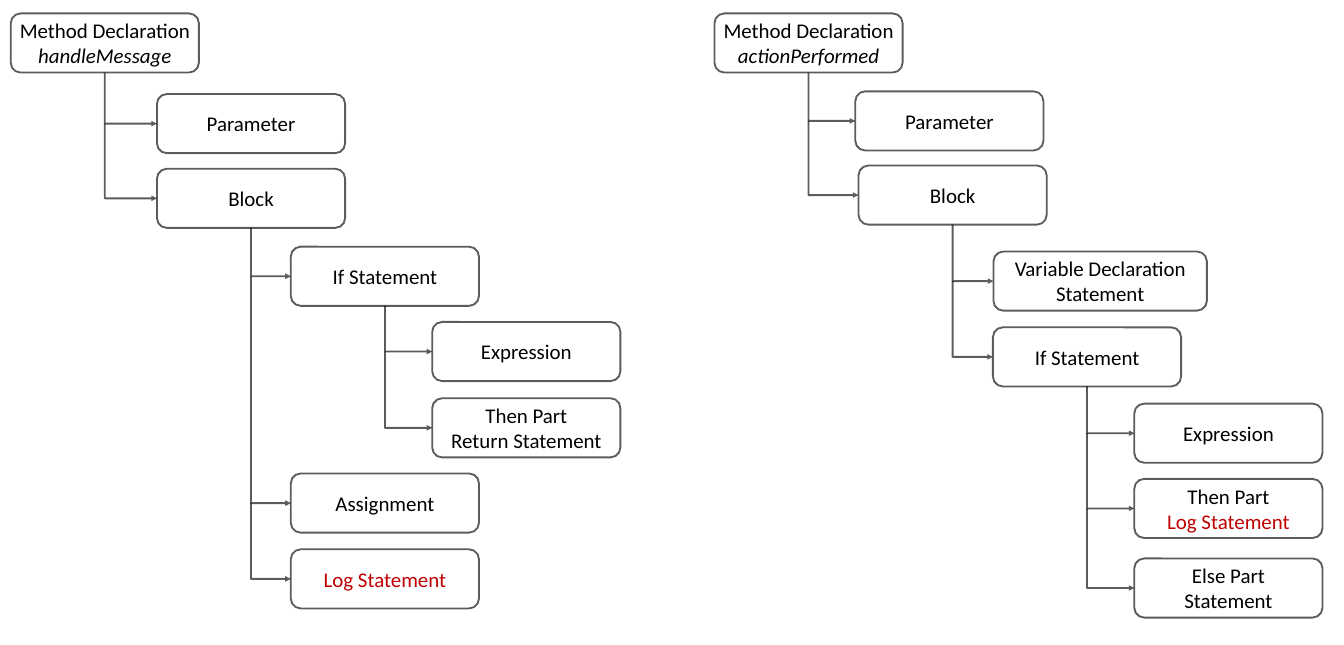
from dataclasses import dataclass

from lxml import etree
from pptx import Presentation
from pptx.dml.color import RGBColor
from pptx.enum.shapes import MSO_CONNECTOR, MSO_SHAPE
from pptx.enum.text import MSO_ANCHOR, PP_ALIGN
from pptx.oxml.ns import qn
from pptx.util import Inches, Pt

ROUNDED = MSO_SHAPE.ROUNDED_RECTANGLE
ELBOW = MSO_CONNECTOR.ELBOW
MIDDLE = MSO_ANCHOR.MIDDLE
CENTER = PP_ALIGN.CENTER


@dataclass(frozen=True)
class Theme:
    """Colours, type and box sizes of the syntax trees."""
    font: str = "Calibri"
    text_size: float = 28
    text: RGBColor = RGBColor(0, 0, 0)
    log: RGBColor = RGBColor(0xC0, 0, 0)
    line: RGBColor = RGBColor(0, 0, 0)
    line_opacity: int = 63
    line_width: float = 2.5
    box_width: float = 3.5
    box_height: float = 1.1


THEME = Theme()


@dataclass(frozen=True)
class Label:
    """One line of text in a node."""
    text: str
    italic: bool = False
    color: RGBColor = THEME.text


@dataclass(frozen=True)
class Node:
    """A syntax tree node with its place and its children."""
    left: float
    top: float
    labels: tuple
    children: tuple = ()
    width: float = THEME.box_width


PARAMETER = (Label("Parameter"),)
BLOCK = (Label("Block"),)
IF_STATEMENT = (Label("If Statement"),)
EXPRESSION = (Label("Expression"),)
LOG_STATEMENT = Label("Log Statement", color=THEME.log)

HANDLE_MESSAGE = Node(
    0.2, 0.25, (Label("Method Declaration"), Label("handleMessage", italic=True)), (
        Node(2.92, 1.75, PARAMETER),
        Node(2.92, 3.14, BLOCK, (
            Node(5.41, 4.59, IF_STATEMENT, (
                Node(8.04, 5.99, EXPRESSION),
                Node(8.04, 7.41, (Label("Then Part"), Label("Return Statement"))),
            )),
            Node(5.41, 8.81, (Label("Assignment"),)),
            Node(5.41, 10.22, (LOG_STATEMENT,)),
        )),
    ))

ACTION_PERFORMED = Node(
    13.29, 0.25, (Label("Method Declaration"), Label("actionPerformed", italic=True)), (
        Node(15.91, 1.7, PARAMETER),
        Node(15.97, 3.08, BLOCK, (
            Node(18.48, 4.68, (Label("Variable Declaration"), Label("Statement")), width=3.97),
            Node(18.47, 6.09, IF_STATEMENT, (
                Node(21.1, 7.51, EXPRESSION),
                Node(21.1, 8.91, (Label("Then Part"), LOG_STATEMENT)),
                Node(21.1, 10.39, (Label("Else Part"), Label("Statement"))),
            )),
        )),
    ))


def style_line(shape):
    """Give a box or connector the translucent outline and return its XML."""
    shape.line.color.rgb = THEME.line
    shape.line.width = Pt(THEME.line_width)
    outline = shape.element.spPr.find(qn("a:ln"))
    color = outline.find(".//" + qn("a:srgbClr"))
    etree.SubElement(color, qn("a:alpha"), val=str(THEME.line_opacity * 1000))
    return outline


def add_box(page, node):
    """Draw a node as a rounded box with centred text."""
    box = page.shapes.add_shape(ROUNDED, Inches(node.left), Inches(node.top),
                                Inches(node.width), Inches(THEME.box_height))
    box.shadow.inherit = False
    box.fill.background()
    style_line(box)
    frame = box.text_frame
    frame.word_wrap = False
    frame.vertical_anchor = MIDDLE
    frame.text = "\n".join(label.text for label in node.labels)
    for para, label in zip(frame.paragraphs, node.labels):
        para.alignment = CENTER
        para.font.size = Pt(THEME.text_size)
        for span in para.runs:
            span.font.name = THEME.font
            span.font.size = Pt(THEME.text_size)
            span.font.italic = label.italic
            span.font.color.rgb = label.color


def add_branch(page, start_x, start_y, end_x, end_y):
    """Draw an arrow that runs down and then right, as a turned elbow."""
    center_x, center_y = (start_x + end_x) / 2, (start_y + end_y) / 2
    half_run, half_drop = (end_x - start_x) / 2, (end_y - start_y) / 2
    branch = page.shapes.add_connector(
        ELBOW, Inches(center_x + half_drop), Inches(center_y - half_run),
        Inches(center_x - half_drop), Inches(center_y + half_run))
    properties = branch.element.spPr
    properties.find(qn("a:xfrm")).set("rot", str(270 * 60000))
    properties.find(qn("a:prstGeom")).set("prst", "bentConnector2")
    outline = style_line(branch)
    etree.SubElement(outline, qn("a:tailEnd"), type="triangle")
    etree.SubElement(properties, qn("a:effectLst"))


def add_tree(page, node):
    """Draw a node, its branches and everything below it."""
    add_box(page, node)
    trunk_x = node.left + node.width / 2
    branch_y = node.top + THEME.box_height
    for child in node.children:
        child_y = child.top + THEME.box_height / 2
        add_branch(page, trunk_x, branch_y, child.left, child_y)
        add_tree(page, child)
        branch_y = child_y


def main():
    """Build the slide with the two syntax trees."""
    deck = Presentation()
    deck.slide_width = Inches(25)
    deck.slide_height = Inches(12)
    page = deck.slides.add_slide(deck.slide_layouts[6])
    for tree in (HANDLE_MESSAGE, ACTION_PERFORMED):
        add_tree(page, tree)
    deck.save("out.pptx")


if __name__ == "__main__":
    main()
